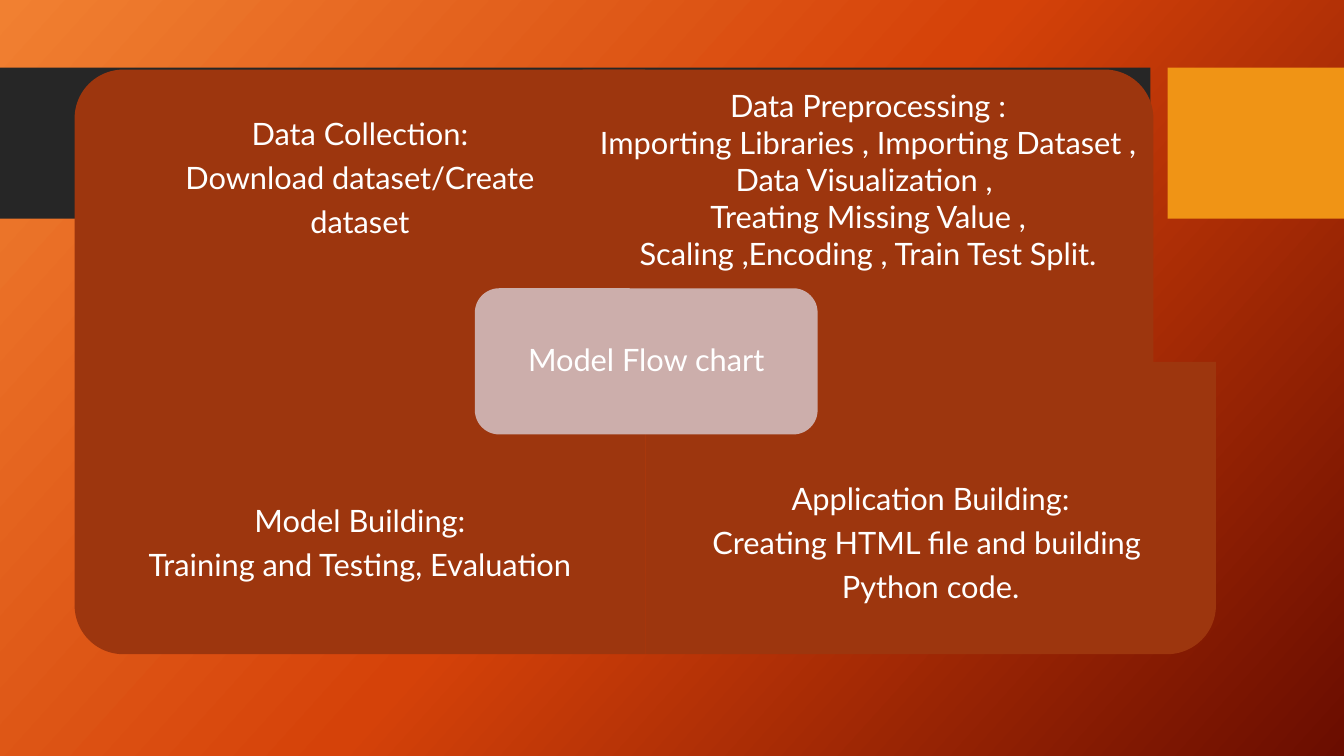
from copy import deepcopy
from dataclasses import dataclass

from pptx import Presentation
from pptx.dml.color import RGBColor
from pptx.enum.shapes import MSO_SHAPE as SHAPE
from pptx.enum.text import MSO_ANCHOR as ANCHOR, PP_ALIGN as ALIGN
from pptx.oxml.ns import qn
from pptx.shapes.autoshape import Shape
from pptx.slide import Slide
from pptx.util import Inches, Pt

QUAD_W, QUAD_H, TEXT_H = 5.66, 2.9, 2.18
BACKGROUND = [(0, "F18031"), (0.5, "D54209"), (1, "6A0D00")]
LOOSE = {"line_spacing": 0.9, "space_after": Pt(7.7)}
TIGHT = {"line_spacing": 1.0, "space_after": Pt(0)}


@dataclass
class Quadrant:
    left: float
    top: float
    rotation: int
    text_top: float
    lines: list[str]
    spacing: dict


QUADRANTS = [
    Quadrant(0.74, 0.69, 270, 0.69,
             ["Data Collection:", "Download dataset/Create", "dataset"], LOOSE),
    Quadrant(5.78, 0.69, 0, 0.69,
             ["Data Preprocessing :",
              "Importing Libraries , Importing Dataset , Data Visualization , ",
              "Treating Missing Value , Scaling ,Encoding , Train Test Split."], TIGHT),
    Quadrant(0.74, 3.59, 180, 4.31,
             ["Model Building:", "Training and Testing, Evaluation"], LOOSE),
    Quadrant(6.4, 3.59, 90, 4.31,
             ["Application Building:", "Creating HTML file and building ",
              "Python code."], LOOSE),
]


def rgb(value: str) -> RGBColor:
    return RGBColor.from_string(value)


def set_background(s: Slide) -> None:
    fill = s.background.fill
    fill.gradient()
    fill.gradient_angle = 318
    stop_list = s._element.find(".//" + qn("a:gsLst"))
    stop_list.append(deepcopy(stop_list[0]))
    for stop, (position, color) in zip(fill.gradient_stops, BACKGROUND):
        stop.position = position
        stop.color.rgb = rgb(color)


def add_block(s: Slide, kind: SHAPE, left: float, top: float, width: float,
              height: float, color: str) -> Shape:
    sp = s.shapes.add_shape(kind, Inches(left), Inches(top), Inches(width), Inches(height))
    sp.shadow.inherit = False
    sp.fill.solid()
    sp.fill.fore_color.rgb = rgb(color)
    sp.line.fill.background()
    return sp


def write_lines(sp: Shape, lines: list[str], inset: float, spacing: dict) -> None:
    tf = sp.text_frame
    frame_format = {"word_wrap": True, "vertical_anchor": ANCHOR.MIDDLE}
    frame_format |= {f"margin_{side}": Inches(inset)
                     for side in ("left", "top", "right", "bottom")}
    for name, value in frame_format.items():
        setattr(tf, name, value)
    for i, line in enumerate(lines):
        p = tf.add_paragraph() if i else tf.paragraphs[0]
        for name, value in {"alignment": ALIGN.CENTER, **spacing}.items():
            setattr(p, name, value)
        r = p.add_run()
        r.text = line
        for name, value in {"name": "Lato", "size": Pt(22)}.items():
            setattr(r.font, name, value)
        r.font.color.rgb = rgb("FFFFFF")


def add_quadrant(s: Slide, q: Quadrant) -> None:
    """Draw a quadrant with its rounded corner turned outwards, then its text."""
    width, height = (QUAD_H, QUAD_W) if q.rotation % 180 else (QUAD_W, QUAD_H)
    sp = add_block(s, SHAPE.ROUND_1_RECTANGLE, q.left + (QUAD_W - width) / 2,
                   q.top + (QUAD_H - height) / 2, width, height, "9D360E")
    sp.rotation = q.rotation
    box = s.shapes.add_textbox(Inches(q.left), Inches(q.text_top),
                               Inches(QUAD_W), Inches(TEXT_H))
    write_lines(box, q.lines, 0.17, q.spacing)


def main() -> None:
    prs = Presentation()
    prs.slide_width, prs.slide_height = Inches(13.33), Inches(7.5)
    s = prs.slides.add_slide(prs.slide_layouts[6])
    set_background(s)
    add_block(s, SHAPE.RECTANGLE, 0, 0.67, 11.41, 1.5, "262626")
    add_block(s, SHAPE.RECTANGLE, 11.58, 0.67, 1.75, 1.5, "F09415")
    for q in QUADRANTS:
        add_quadrant(s, q)
    center = add_block(s, SHAPE.ROUNDED_RECTANGLE, 4.71, 2.86, 3.4, 1.45, "CCAEAB")
    write_lines(center, ["Model Flow chart"], 0.09, LOOSE)
    prs.save("out.pptx")


if __name__ == "__main__":
    main()
